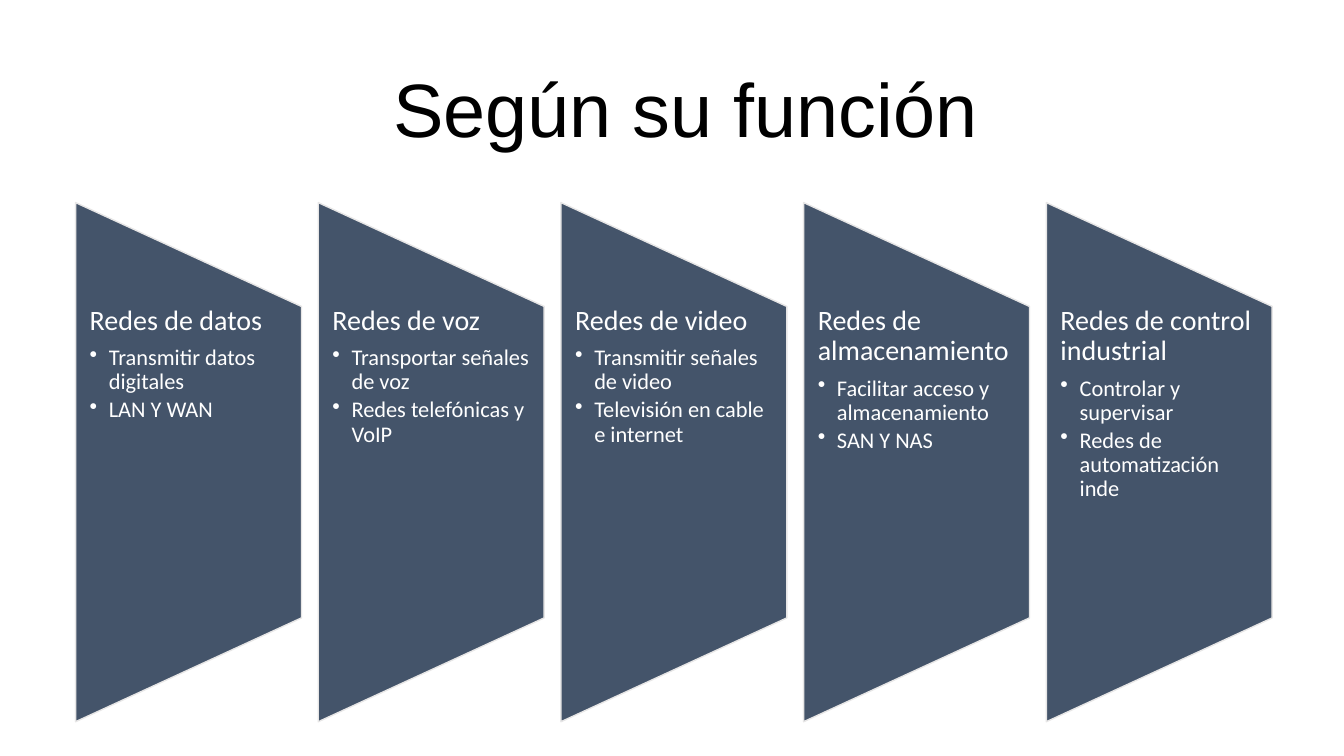
"""Builds a slide with five panels of networks by function."""
import pptx
import pptx.util
import pptx.dml.color
import pptx.enum.shapes
import pptx.enum.text
import pptx.oxml.ns
import lxml.etree

Inches = pptx.util.Inches
Pt = pptx.util.Pt

COLORS = {"ink": "000000", "panel": "44546A", "edge": "E7E6E6", "light": "FFFFFF"}

PANELS = [
    ("Redes de datos", ["Transmitir datos digitales", "LAN Y WAN"]),
    ("Redes de voz", ["Transportar señales de voz", "Redes telefónicas y VoIP"]),
    ("Redes de video", ["Transmitir señales de video", "Televisión en cable e internet"]),
    ("Redes de almacenamiento", ["Facilitar acceso y almacenamiento", "SAN Y NAS"]),
    ("Redes de control industrial", ["Controlar y supervisar", "Redes de automatización inde"]),
]


def color(name):
    return pptx.dml.color.RGBColor.from_string(COLORS[name])


def write(para, text, size, font="Calibri", ink="light", after=0, bullet=False):
    para.line_spacing = 0.9
    para.space_after = Pt(after)
    if bullet:
        para.level = 1
        props = para._p.get_or_add_pPr()
        props.set("marL", str(Inches(0.19)))
        props.set("indent", str(Inches(-0.19)))
        mark = lxml.etree.SubElement(props, pptx.oxml.ns.qn("a:buChar"))
        mark.set("char", "•")
    run = para.add_run()
    run.text = text
    run.font.size = Pt(size)
    run.font.name = font
    run.font.color.rgb = color(ink)


class Slide:
    def __init__(self, deck):
        self.slide = deck.slides.add_slide(deck.slide_layouts[6])
        self.shapes = self.slide.shapes

    def frame(self, shapes, left, top, width, height):
        box = shapes.add_textbox(Inches(left), Inches(top), Inches(width), Inches(height))
        box.text_frame.word_wrap = True
        return box.text_frame

    def title(self, text):
        frame = self.frame(self.shapes, 0.92, 0.4, 11.5, 1.45)
        frame.vertical_anchor = pptx.enum.text.MSO_ANCHOR.MIDDLE
        frame.margin_left = Inches(2.98)
        write(frame.paragraphs[0], text, 54, font="Arial", ink="ink")

    def panel(self, shapes, left, top, width, height):
        kind = pptx.enum.shapes.MSO_SHAPE.FLOWCHART_MANUAL_OPERATION
        shift = (height - width) / 2
        shape = shapes.add_shape(kind, Inches(left - shift), Inches(top + shift),
                                 Inches(height), Inches(width))
        shape.rotation = 270
        shape.shadow.inherit = False
        shape.fill.solid()
        shape.fill.fore_color.rgb = color("panel")
        shape.line.color.rgb = color("edge")
        shape.line.width = Pt(1)

    def points(self, shapes, left, top, width, height, head, items):
        frame = self.frame(shapes, left, top, width, height)
        frame.margin_left = frame.margin_right = Inches(0.14)
        frame.margin_top = frame.margin_bottom = 0
        write(frame.paragraphs[0], head, 20, after=7)
        for item in items:
            write(frame.add_paragraph(), item, 16, after=2.7, bullet=True)

    def row(self, panels):
        shapes = self.shapes.add_group_shape().shapes
        width, step = 2.24, 2.407
        for i, (head, items) in enumerate(panels):
            left = 0.75 + i * step
            self.panel(shapes, left, 2.01, width, 5.15)
            self.points(shapes, left, 3.04, width, 3.09, head, items)


def main():
    deck = pptx.Presentation()
    deck.slide_width = Inches(13.33)
    deck.slide_height = Inches(7.5)
    slide = Slide(deck)
    slide.title("Según su función")
    slide.row(PANELS)
    deck.save("out.pptx")


if __name__ == "__main__":
    main()
